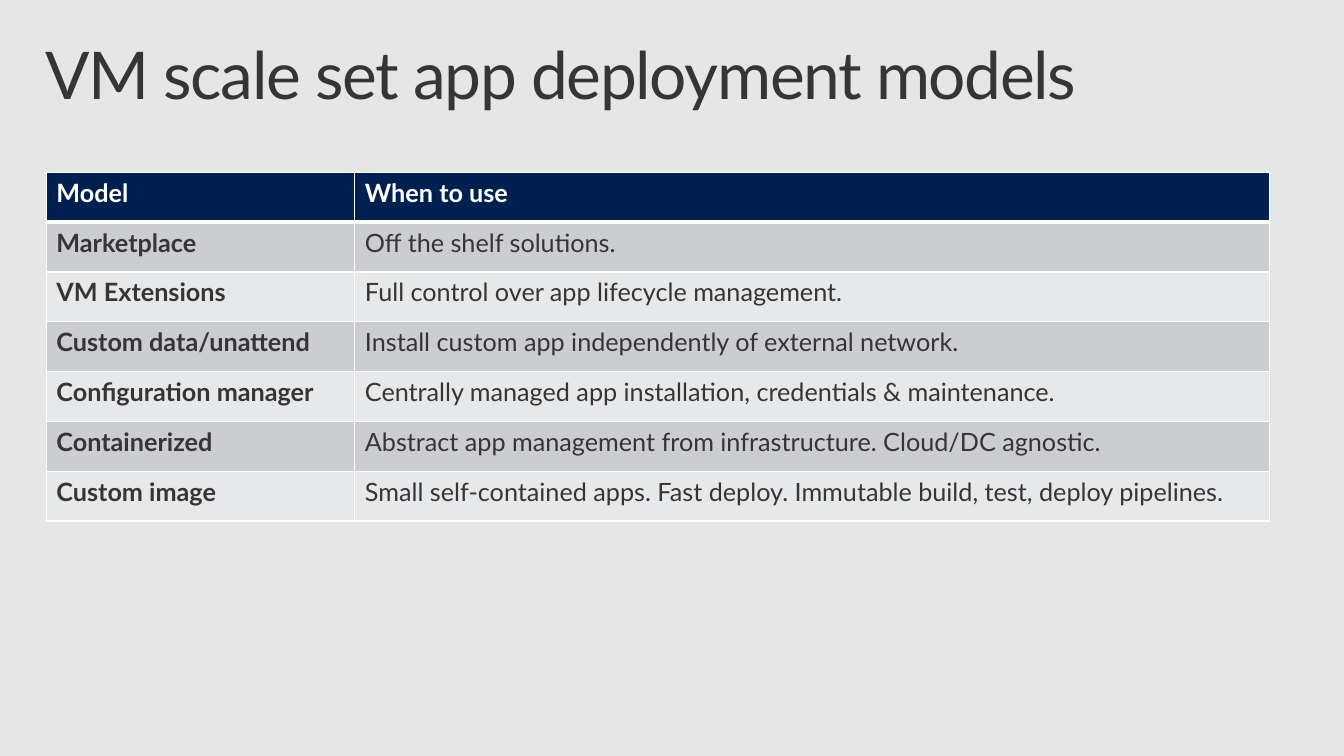
from dataclasses import dataclass

from lxml import etree
from pptx import Presentation
from pptx import util as u
from pptx.dml.color import RGBColor
from pptx.enum import text as t
from pptx.oxml import ns


@dataclass(frozen=True)
class Theme:
    font: str = "Lato"
    back: str = "E6E6E6"
    ink: str = "353535"
    white: str = "FFFFFF"
    navy: str = "002050"
    bands: tuple[str, str] = ("CCCDD0", "E7E8E9")
    title: int = 47
    body: int = 18
    thin: int = 1
    thick: int = 3


@dataclass(frozen=True)
class Model:
    name: str
    usage: str


THEME = Theme()
HEAD = Model("Model", "When to use")
MODELS = [
    Model("Marketplace", "Off the shelf solutions."),
    Model("VM Extensions", "Full control over app lifecycle management."),
    Model("Custom data/unattend", "Install custom app independently of external network."),
    Model("Configuration manager", "Centrally managed app installation, credentials & maintenance."),
    Model("Containerized", "Abstract app management from infrastructure. Cloud/DC agnostic."),
    Model("Custom image", "Small self-contained apps. Fast deploy. Immutable build, test, deploy pipelines."),
]
WIDTHS = (3.06, 9.07)
ROW = 3.46 / (len(MODELS) + 1)


def style(par, size: int, ink: str, bold: bool) -> None:
    font = par.font
    font.name = THEME.font
    font.size = u.Pt(size)
    font.bold = bold
    font.color.rgb = RGBColor.from_string(ink)


def border(cell, side: str, width: int) -> None:
    props = cell._tc.get_or_add_tcPr()
    line = etree.SubElement(props, ns.qn(f"a:ln{side}"), w=str(u.Pt(width)))
    fill = etree.SubElement(line, ns.qn("a:solidFill"))
    etree.SubElement(fill, ns.qn("a:srgbClr"), val=THEME.white)


def paint(cell, words: str, row: int, col: int) -> None:
    head = row == 0
    cell.text = words
    style(cell.text_frame.paragraphs[0], THEME.body,
          THEME.white if head else THEME.ink, head or col == 0)
    for side in "LRTB":
        thick = (row, side) in ((0, "B"), (1, "T"))
        border(cell, side, THEME.thick if thick else THEME.thin)
    cell.fill.solid()
    shade = THEME.navy if head else THEME.bands[(row - 1) % 2]
    cell.fill.fore_color.rgb = RGBColor.from_string(shade)


def add_title(slide, words: str) -> None:
    title = slide.shapes.title
    title.left, title.top = u.Inches(0.29), u.Inches(0.32)
    title.width, title.height = u.Inches(12.75), u.Inches(0.98)
    frame = title.text_frame
    frame.text = words
    frame.word_wrap = True
    frame.auto_size = t.MSO_AUTO_SIZE.NONE
    frame.vertical_anchor = t.MSO_ANCHOR.TOP
    frame.margin_left = frame.margin_right = u.Inches(0.16)
    frame.margin_top = frame.margin_bottom = u.Inches(0.1)
    par = frame.paragraphs[0]
    par.alignment = t.PP_ALIGN.LEFT
    par.line_spacing = 0.9
    style(par, THEME.title, THEME.ink, False)
    par.runs[0]._r.get_or_add_rPr().set("spc", "-100")


def add_grid(slide, models: list[Model]) -> None:
    rows = [HEAD, *models]
    grid = slide.shapes.add_table(
        len(rows), len(WIDTHS), u.Inches(0.46), u.Inches(1.71),
        u.Inches(sum(WIDTHS)), u.Inches(ROW * len(rows))).table
    for col, width in zip(grid.columns, WIDTHS):
        col.width = u.Inches(width)
    for row, model in enumerate(rows):
        grid.rows[row].height = u.Inches(ROW)
        for col, words in enumerate((model.name, model.usage)):
            paint(grid.cell(row, col), words, row, col)


def main() -> None:
    deck = Presentation()
    deck.slide_width, deck.slide_height = u.Inches(13.33), u.Inches(7.5)
    slide = deck.slides.add_slide(deck.slide_layouts.get_by_name("Title Only"))
    slide.background.fill.solid()
    slide.background.fill.fore_color.rgb = RGBColor.from_string(THEME.back)
    add_title(slide, "VM scale set app deployment models")
    add_grid(slide, MODELS)
    deck.save("out.pptx")


if __name__ == "__main__":
    main()
